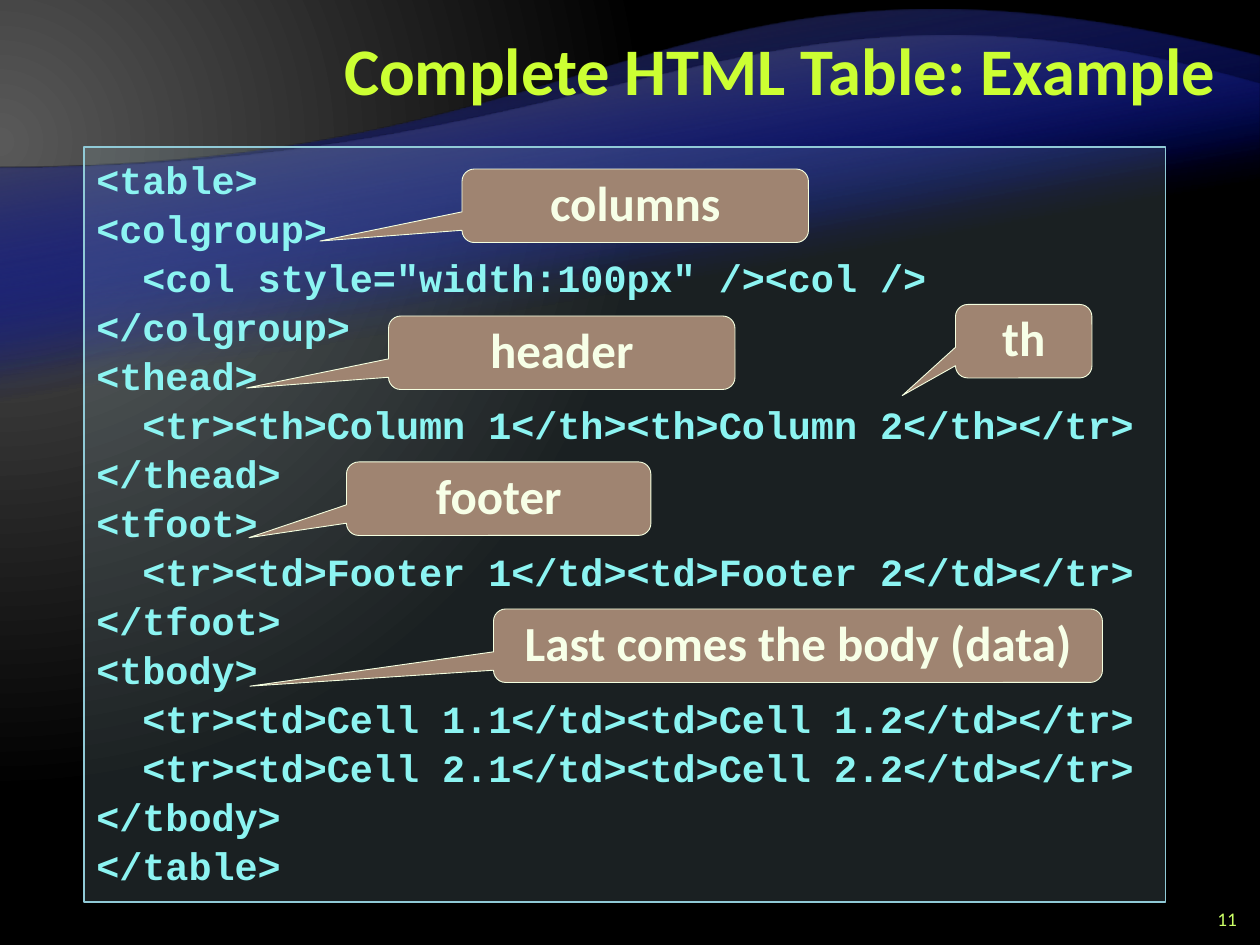
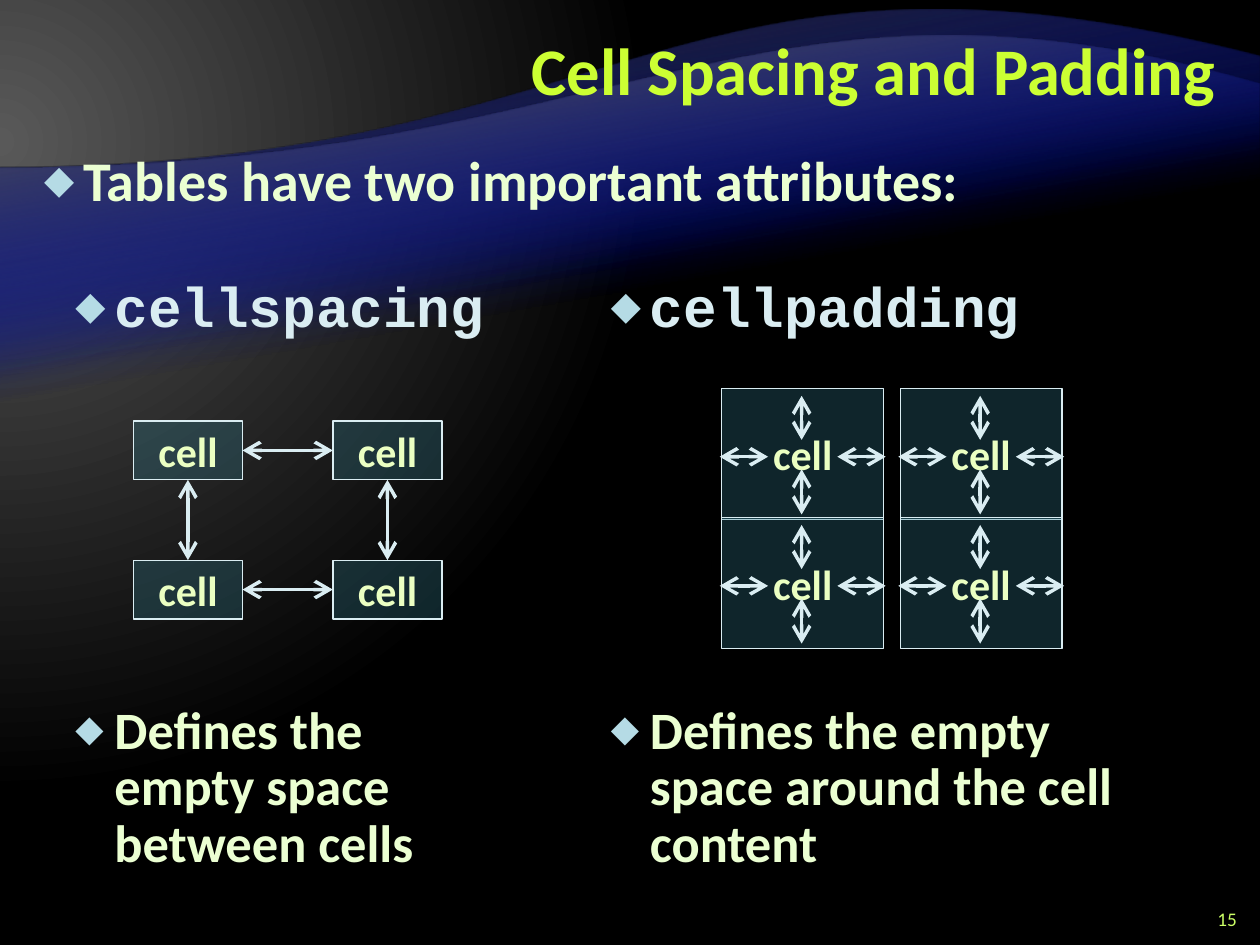
from itertools import product

from lxml.etree import SubElement
from pptx import Presentation
from pptx.dml.color import RGBColor
from pptx.enum.shapes import MSO_CONNECTOR, MSO_SHAPE
from pptx.enum.text import MSO_ANCHOR, MSO_AUTO_SIZE, PP_ALIGN
from pptx.oxml import parse_xml
from pptx.oxml.ns import nsdecls, qn
from pptx.shapes.shapetree import SlideShapes
from pptx.util import Inches, Pt

COLUMNS, ROWS = 120, 90
UNITS_PER_INCH = 12
TITLE_ONLY, TITLE_AND_CONTENT = 5, 1

BLACK = RGBColor(0x00, 0x00, 0x00)
DARK_GREY = RGBColor(0x26, 0x26, 0x26)
GREY = RGBColor(0x59, 0x59, 0x59)
BLUE = RGBColor(0x00, 0x0D, 0x9E)
LIME = RGBColor(0xCC, 0xFF, 0x33)
NUMBER_GREEN = RGBColor(0xCC, 0xFF, 0x66)
PALE_GREEN = RGBColor(0xEB, 0xFF, 0xD2)
CELL_GREEN = RGBColor(0xEB, 0xFF, 0xC2)
ICE = RGBColor(0xDA, 0xED, 0xF2)
PALE_BLUE = RGBColor(0xB5, 0xDB, 0xE5)
CODE_BORDER = RGBColor(0x90, 0xCA, 0xD7)
CODE_CYAN = RGBColor(0x8C, 0xF4, 0xF2)
TEAL = RGBColor(0x33, 0x7D, 0x8F)
BROWN = RGBColor(0x9F, 0x84, 0x71)
CALLOUT_BORDER = RGBColor(0xF5, 0xFF, 0xE0)
CALLOUT_TEXT = RGBColor(0xF7, 0xFF, 0xE7)

TITLE_FONT = {"name": "Calibri", "size": Pt(38), "bold": True, "color": LIME}
NUMBER_FONT = {"name": "Calibri", "size": Pt(11), "color": NUMBER_GREEN}
CODE_FONT = {"name": "Courier New", "size": Pt(22), "bold": True, "color": CODE_CYAN}
CALLOUT_FONT = {"name": "Calibri", "size": Pt(28), "bold": True, "color": CALLOUT_TEXT}
LEAD_FONT = {"name": "Calibri", "size": Pt(32), "bold": True, "color": PALE_GREEN}
ATTRIBUTE_FONT = {"name": "Courier New", "size": Pt(32), "bold": True, "color": ICE}
DEFINITION_FONT = {"name": "Calibri", "size": Pt(30), "bold": True, "color": PALE_GREEN}
CELL_FONT = {"name": "Calibri", "size": Pt(24), "bold": True, "color": CELL_GREEN}

TITLE_LINE = {"alignment": PP_ALIGN.RIGHT, "line_spacing": Pt(40)}
NUMBER_LINE = {"alignment": PP_ALIGN.RIGHT}
CODE_LINE = {"alignment": PP_ALIGN.LEFT, "line_spacing": Pt(28)}
CALLOUT_LINE = {"alignment": PP_ALIGN.CENTER, "line_spacing": Pt(30)}
CELL_LINE = {"alignment": PP_ALIGN.CENTER}
LIST_ITEM = {"line_spacing": 0.9, "space_before": Pt(6), "space_after": Pt(6)}
ITEM_BELOW_DIAGRAM = {**LIST_ITEM, "space_before": Pt(202)}

TOP_WRAPPED = {"word_wrap": True, "vertical_anchor": MSO_ANCHOR.TOP}
MIDDLE_WRAPPED = {"word_wrap": True, "vertical_anchor": MSO_ANCHOR.MIDDLE}
MIDDLE_UNWRAPPED = {"word_wrap": False, "vertical_anchor": MSO_ANCHOR.MIDDLE}

GLOW = '<a:path path="circle"><a:fillToRect l="20000" t="30000" r="135000" b="100000"/></a:path>'
DOWNWARD = '<a:lin ang="4800000" scaled="0"/>'

WAVE_LEFT_TOP = 16
WAVES = [
    {"right_top": 5.4, "bottom": 78.4, "bends": [(60, 16), (64.1, -9)], "crest": DARK_GREY},
    {"right_top": 8, "bottom": 66.8, "bends": [(60, 16), (71.8, -5.9)], "crest": GREY},
]

CODE_LINES = """<table>
<colgroup>
  <col style="width:100px" /><col />
</colgroup>
<thead>
  <tr><th>Column 1</th><th>Column 2</th></tr>
</thead>
<tfoot>
  <tr><td>Footer 1</td><td>Footer 2</td></tr>
</tfoot>
<tbody>
  <tr><td>Cell 1.1</td><td>Cell 1.2</td></tr>
  <tr><td>Cell 2.1</td><td>Cell 2.2</td></tr>
</tbody>
</table>""".split("\n")

CALLOUTS = [
    ("header", (37, 30.1, 33, 7), (-0.91, 0.48)),
    ("footer", (33, 44, 29, 7), (-0.82, 0.53)),
    ("Last comes the body (data)", (47, 58, 58, 7), (-0.9, 0.55)),
    ("th", (91, 29, 13, 7), (-0.89, 0.74)),
    ("columns", (44, 16.1, 33, 7), (-0.91, 0.48)),
]


def grid(*units):
    return [Inches(unit / UNITS_PER_INCH) for unit in units]


def set_attributes(target, values):
    for name, value in values.items():
        if name == "color":
            target.color.rgb = value
        else:
            setattr(target, name, value)


def place(shape, box):
    set_attributes(shape, dict(zip(("left", "top", "width", "height"), grid(*box))))


def write_paragraph(paragraph, text, paragraph_format, font_format):
    set_attributes(paragraph, paragraph_format)
    run = paragraph.add_run()
    run.text = text
    set_attributes(run.font, font_format)


def add_bullet(paragraph):
    properties = paragraph._p.get_or_add_pPr()
    properties.set("marL", str(Inches(0.31)))
    properties.set("indent", str(-Inches(0.31)))
    color = SubElement(properties, qn("a:buClr"))
    SubElement(color, qn("a:srgbClr"), val=str(PALE_BLUE))
    SubElement(properties, qn("a:buSzPct"), val="70000")
    SubElement(properties, qn("a:buFont"), typeface="Calibri")
    SubElement(properties, qn("a:buChar"), char="◆")


def replace_solid_fill(parent, stops, direction):
    stop_xml = "".join(
        f'<a:gs pos="{position * 1000}"><a:srgbClr val="{color}">'
        f'<a:alpha val="{opacity * 1000}"/></a:srgbClr></a:gs>'
        for position, color, opacity in stops
    )
    gradient = parse_xml(
        f'<a:gradFill {nsdecls("a")} rotWithShape="1">'
        f"<a:gsLst>{stop_xml}</a:gsLst>{direction}</a:gradFill>"
    )
    parent.replace(parent.find(qn("a:solidFill")), gradient)


def style_shape(shape, fill, border, border_width, opacity=100):
    shape.shadow.inherit = False
    shape.fill.solid()
    shape.fill.fore_color.rgb = fill
    set_attributes(shape.line, {"color": border, "width": Pt(border_width)})
    if opacity < 100:
        color = shape.element.spPr.find(qn("a:solidFill"))[0]
        SubElement(color, qn("a:alpha"), val=str(opacity * 1000))


def replace_line_by_curve(line, control_points):
    curve = parse_xml(f'<a:cubicBezTo {nsdecls("a")}/>')
    for x, y in control_points:
        SubElement(curve, qn("a:pt"), x=str(x), y=str(y))
    curve.append(line[0])
    line.getparent().replace(line, curve)


def add_wave(shapes, right_top, bottom, bends, crest):
    def turned(column, row):
        return grid(COLUMNS - column, bottom - row)

    builder = shapes.build_freeform(*turned(COLUMNS, bottom))
    builder.add_line_segments([
        turned(0, bottom), turned(0, WAVE_LEFT_TOP), turned(COLUMNS, right_top)])
    wave = builder.convert_to_shape()
    place(wave, (0, right_top, COLUMNS, bottom - right_top))
    wave.rotation = 180
    wave.shadow.inherit = False
    wave.line.fill.background()
    wave.fill.solid()
    replace_solid_fill(wave.element.spPr, [(65, BLUE, 0), (100, crest, 100)], DOWNWARD)
    crest_line = wave.element.findall(".//" + qn("a:lnTo"))[2]
    replace_line_by_curve(crest_line, [turned(*bend) for bend in bends])


def decorate_master(master):
    master.background.fill.solid()
    background = master.element.find(".//" + qn("p:bgPr"))
    replace_solid_fill(background, [(0, GREY, 100), (83, BLACK, 100)], GLOW)
    shapes = SlideShapes(master.element.cSld.spTree, master)
    for wave in WAVES * 2:
        add_wave(shapes, **wave)


def add_titled_slide(presentation, layout_index, title, number):
    slide = presentation.slides.add_slide(presentation.slide_layouts[layout_index])
    heading = slide.shapes.title
    place(heading, (24, 1, 93, 12))
    set_attributes(heading.text_frame, {**MIDDLE_WRAPPED, "auto_size": MSO_AUTO_SIZE.NONE})
    write_paragraph(heading.text_frame.paragraphs[0], title, TITLE_LINE, TITLE_FONT)
    footer = slide.shapes.add_textbox(*grid(113, 86, 6, 3)).text_frame
    set_attributes(footer, MIDDLE_WRAPPED)
    write_paragraph(footer.paragraphs[0], number, NUMBER_LINE, NUMBER_FONT)
    return slide


def add_code_panel(slide, box):
    panel = slide.shapes.add_shape(MSO_SHAPE.RECTANGLE, *grid(*box))
    style_shape(panel, PALE_BLUE, CODE_BORDER, 1, opacity=15)
    frame = panel.text_frame
    set_attributes(frame, TOP_WRAPPED)
    for index, line in enumerate(CODE_LINES):
        paragraph = frame.add_paragraph() if index else frame.paragraphs[0]
        write_paragraph(paragraph, line, CODE_LINE, CODE_FONT)


def add_callout(slide, text, box, tip):
    callout = slide.shapes.add_shape(MSO_SHAPE.ROUNDED_RECTANGULAR_CALLOUT, *grid(*box))
    callout.adjustments[0], callout.adjustments[1] = tip
    style_shape(callout, BROWN, CALLOUT_BORDER, 0.5)
    set_attributes(callout.text_frame, TOP_WRAPPED)
    write_paragraph(callout.text_frame.paragraphs[0], text, CALLOUT_LINE, CALLOUT_FONT)


def add_lead(slide, box, text):
    body = slide.placeholders[1]
    place(body, box)
    body.text_frame.auto_size = MSO_AUTO_SIZE.NONE
    paragraph = body.text_frame.paragraphs[0]
    write_paragraph(paragraph, text, LIST_ITEM, LEAD_FONT)
    add_bullet(paragraph)


def add_attribute_column(slide, box, attribute, definition):
    frame = slide.shapes.add_textbox(*grid(*box)).text_frame
    frame.word_wrap = True
    write_paragraph(frame.paragraphs[0], attribute, LIST_ITEM, ATTRIBUTE_FONT)
    write_paragraph(frame.add_paragraph(), definition, ITEM_BELOW_DIAGRAM, DEFINITION_FONT)
    for paragraph in frame.paragraphs:
        add_bullet(paragraph)


def add_cell(group, box):
    cell = group.shapes.add_shape(MSO_SHAPE.RECTANGLE, *grid(*box))
    style_shape(cell, TEAL, ICE, 0.75, opacity=30)
    set_attributes(cell.text_frame, MIDDLE_UNWRAPPED)
    write_paragraph(cell.text_frame.paragraphs[0], "cell", CELL_LINE, CELL_FONT)


def add_double_arrow(group, *ends):
    arrow = group.shapes.add_connector(MSO_CONNECTOR.STRAIGHT, *grid(*ends))
    set_attributes(arrow.line, {"color": ICE, "width": Pt(2)})
    line = arrow.element.spPr.find(qn("a:ln"))
    for end in ("a:headEnd", "a:tailEnd"):
        SubElement(line, qn(end), type="arrow", w="lg", len="lg")
    SubElement(arrow.element.spPr, qn("a:effectLst"))


def add_spacing_diagram(slide, left, top):
    group = slide.shapes.add_group_shape()
    width, height = 10.4, 5.6
    column_step, row_step = 19, 13.25
    for row, column in product(range(2), repeat=2):
        add_cell(group, (left + column * column_step, top + row * row_step, width, height))
    for index in range(2):
        middle_x = left + index * column_step + width / 2
        middle_y = top + index * row_step + height / 2
        add_double_arrow(group, left + width, middle_y, left + column_step, middle_y)
        add_double_arrow(group, middle_x, top + height, middle_x, top + row_step)


def add_padded_cell(group, left, top, width, height):
    add_cell(group, (left, top, width, height))
    middle_x, middle_y = left + 7.6, top + 6.5
    for start, end in ((7.7, 12), (0.7, 4.9)):
        add_double_arrow(group, middle_x, top + start, middle_x, top + end)
    for start, end in ((-0.2, 4.4), (11, 15.6)):
        add_double_arrow(group, left + start, middle_y, left + end, middle_y)


def add_padding_diagram(slide, left, top):
    group = slide.shapes.add_group_shape()
    width, height = 15.4, 12.5
    column_step, row_step = 17, 12.3
    for column, row in product(range(2), repeat=2):
        add_padded_cell(group, left + column * column_step, top + row * row_step, width, height)


def build_code_slide(presentation):
    slide = add_titled_slide(presentation, TITLE_ONLY, "Complete HTML Table: Example", "11")
    add_code_panel(slide, (8, 14, 103, 71.9))
    for text, box, tip in CALLOUTS:
        add_callout(slide, text, box, tip)


def build_spacing_slide(presentation):
    slide = add_titled_slide(presentation, TITLE_AND_CONTENT, "Cell Spacing and Padding", "15")
    add_lead(slide, (3, 14, 114, 7), "Tables have two important attributes:")
    add_attribute_column(slide, (57, 26, 56, 58), "cellpadding",
                         "Defines the empty space around the cell content")
    add_attribute_column(slide, (6, 26, 44, 60), "cellspacing",
                         "Defines the empty space between cells")
    add_spacing_diagram(slide, 12.7, 40.1)
    add_padding_diagram(slide, 68.75, 37)


presentation = Presentation()
presentation.slide_width, presentation.slide_height = grid(COLUMNS, ROWS)
decorate_master(presentation.slide_master)
build_code_slide(presentation)
build_spacing_slide(presentation)
presentation.save("out.pptx")
